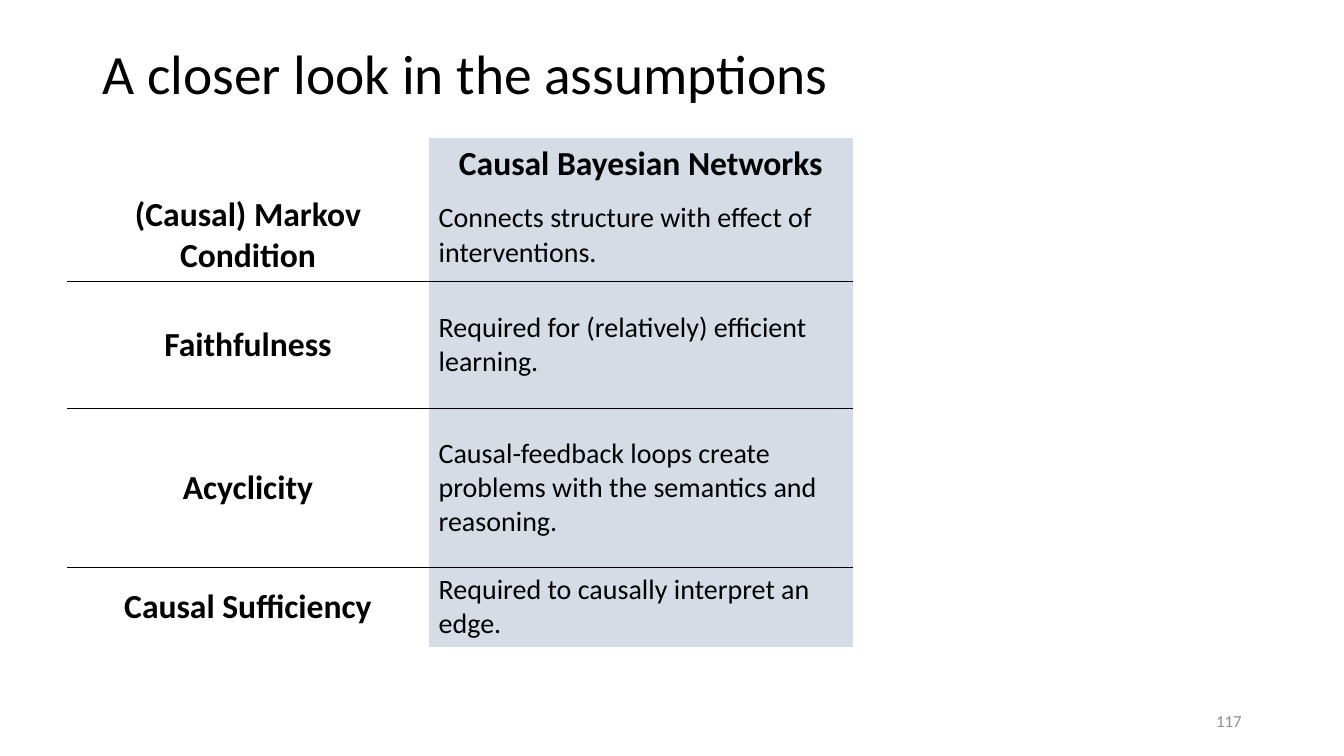
from lxml.etree import SubElement
from pptx import Presentation
from pptx.dml.color import RGBColor
from pptx.enum.text import MSO_ANCHOR, MSO_AUTO_SIZE, PP_ALIGN
from pptx.oxml import parse_xml
from pptx.oxml.ns import nsdecls, qn
from pptx.util import Cm, Pt

NO_STYLE_NO_GRID = "{2D5ABB26-0587-4C30-8999-92F81FD0307C}"
BLACK, GREY, PALE_BLUE = "000000", "8C8C8C", "D6DCE5"


def format_text(text_frame, size, color, alignment, bold=False):
    paragraph = text_frame.paragraphs[0]
    paragraph.alignment = alignment
    font = paragraph.font
    font.name, font.size, font.bold = "Calibri", Pt(size), bold
    font.color.rgb = RGBColor.from_string(color)


def add_border(cell, side):
    """Draw a thin black line on one side of a cell: lnT or lnB."""
    properties = cell._tc.get_or_add_tcPr()
    line = parse_xml(f'<a:{side} {nsdecls("a")} w="{Pt(1)}"/>')
    fill = SubElement(line, qn("a:solidFill"))
    SubElement(fill, qn("a:srgbClr"), val=BLACK)
    properties.insert(0, line)


presentation = Presentation()
presentation.slide_width, presentation.slide_height = Cm(33.87), Cm(19.05)
slide = presentation.slides.add_slide(presentation.slide_layouts[5])

# Title
title = slide.shapes.title
title.left, title.top, title.width, title.height = Cm(2.33), Cm(1.01), Cm(29.21), Cm(1.86)
title.text_frame.text = "A closer look in the assumptions"
title.text_frame.auto_size = MSO_AUTO_SIZE.NONE
title.text_frame.vertical_anchor = MSO_ANCHOR.MIDDLE
title.text_frame.paragraphs[0].line_spacing = 0.9
format_text(title.text_frame, 39.6, BLACK, PP_ALIGN.LEFT)

# Table of assumptions
rows = [
    ("", "Causal Bayesian Networks"),
    ("(Causal) Markov Condition", "Connects structure with effect of interventions."),
    ("Faithfulness", "Required for (relatively) efficient learning."),
    ("Acyclicity", "Causal-feedback loops create problems with the semantics and reasoning."),
    ("Causal Sufficiency", "Required to causally interpret an edge."),
]
column_widths = [9.1, 10.7]
row_heights = [1.29, 2.32, 3.2, 4, 2]

table = slide.shapes.add_table(
    len(rows), len(column_widths), Cm(1.7), Cm(3.48),
    Cm(sum(column_widths)), Cm(sum(row_heights))).table
table.first_row = table.horz_banding = False
table._tbl.tblPr.find(qn("a:tableStyleId")).text = NO_STYLE_NO_GRID
for column, width in zip(table.columns, column_widths):
    column.width = Cm(width)

for row_index, (texts, height) in enumerate(zip(rows, row_heights)):
    table.rows[row_index].height = Cm(height)
    for column_index, text in enumerate(texts):
        cell = table.cell(row_index, column_index)
        cell.text = text
        is_heading = row_index == 0 or column_index == 0
        format_text(cell.text_frame, 24 if is_heading else 20, BLACK,
                    PP_ALIGN.CENTER if is_heading else PP_ALIGN.LEFT, is_heading)
        cell.vertical_anchor = MSO_ANCHOR.MIDDLE if row_index else MSO_ANCHOR.TOP
        if column_index == 1:
            cell.fill.solid()
            cell.fill.fore_color.rgb = RGBColor.from_string(PALE_BLUE)
        else:
            cell.fill.background()
        if 0 < row_index < len(rows) - 1:
            add_border(cell, "lnB")
        if row_index > 1:
            add_border(cell, "lnT")

# Slide number
number = slide.shapes.add_textbox(Cm(23.92), Cm(17.66), Cm(7.62), Cm(1.01))
number.text_frame.text = "117"
number.text_frame.word_wrap = True
number.text_frame.vertical_anchor = MSO_ANCHOR.MIDDLE
format_text(number.text_frame, 12, GREY, PP_ALIGN.RIGHT)

presentation.save("out.pptx")
